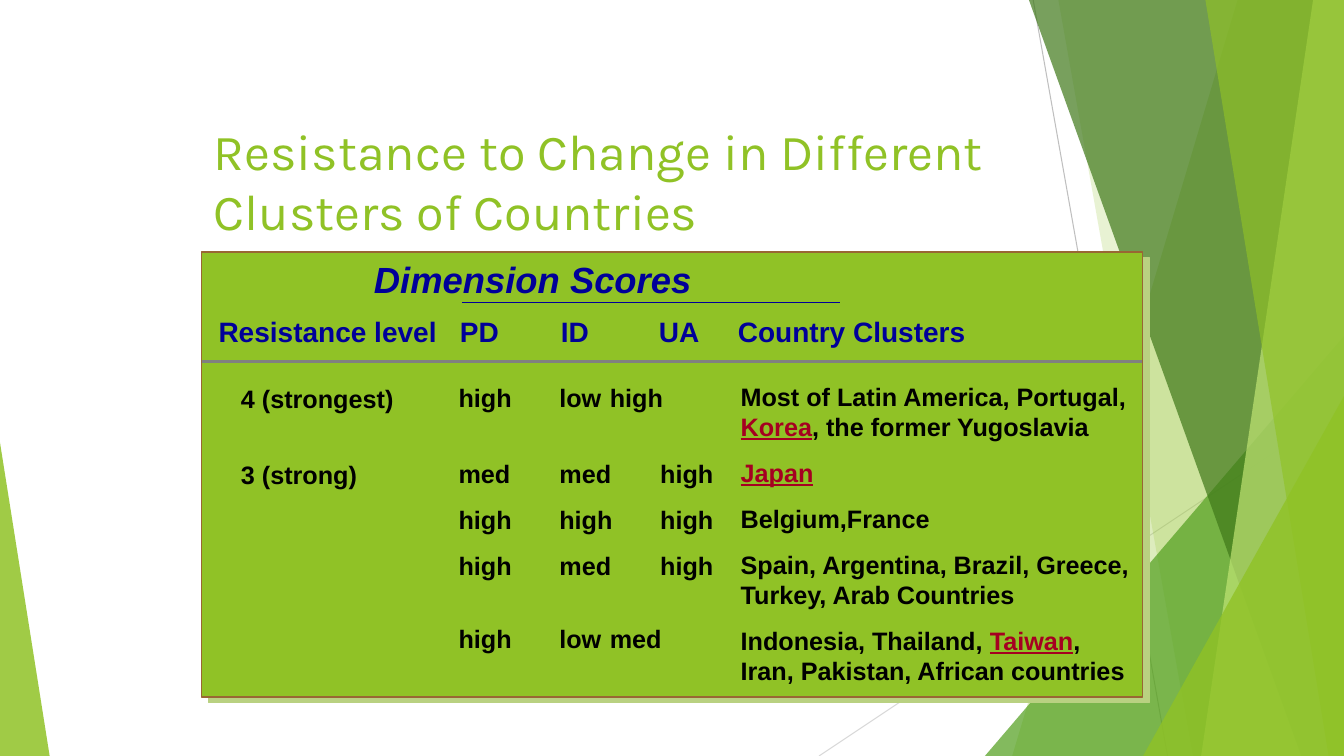
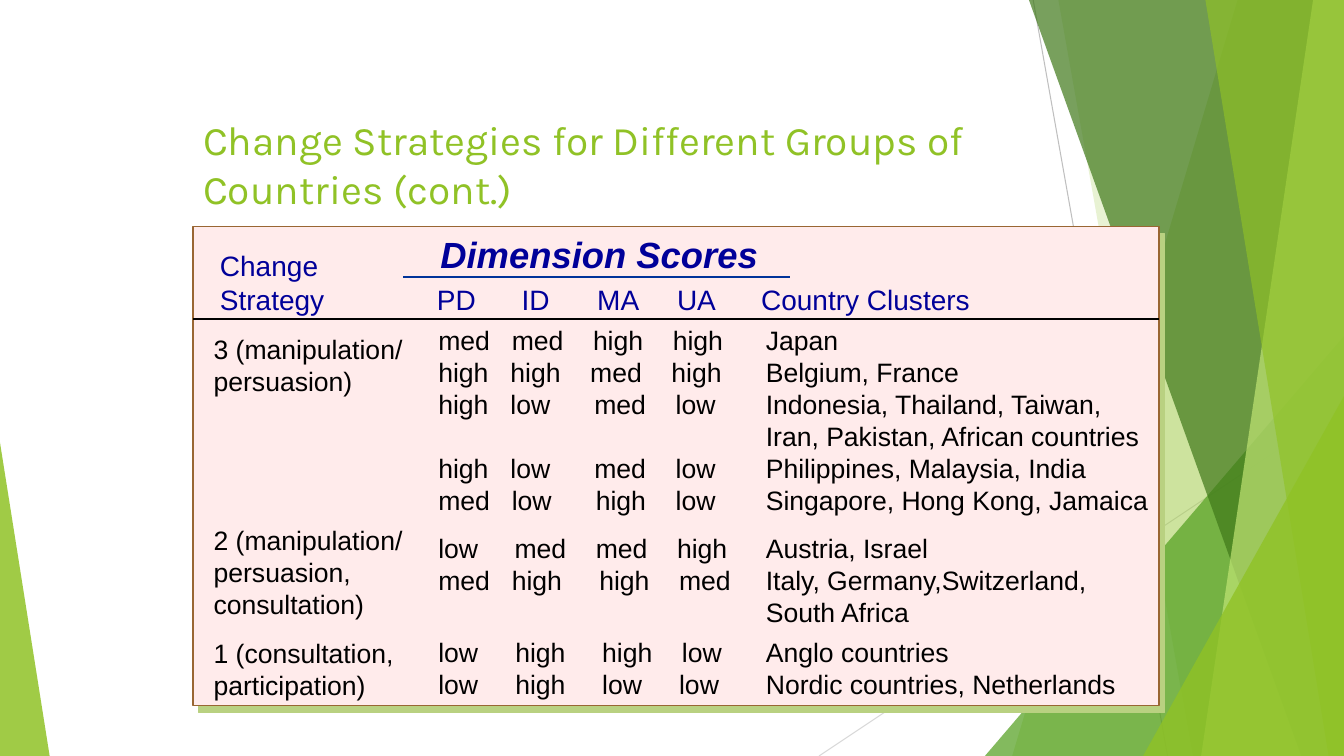
from pptx import Presentation
from pptx.dml.color import RGBColor
from pptx.enum.shapes import MSO_CONNECTOR as Connector, MSO_SHAPE as Shape
from pptx.enum.text import MSO_ANCHOR as Anchor
from pptx.oxml.ns import qn
from pptx.util import Pt
from lxml.etree import SubElement

COLOURS = {
    "lime": "90C226", "green": "54A021", "forest": "3F7819", "pale": "C0E474",
    "shadow": "B9D181", "pink": "FFEBEB", "brown": "996633", "navy": "000099",
    "blue": "003399", "red": "A50021", "black": "000000", "grey": "808080",
    "silver": "BFBFBF", "mist": "D9D9D9",
}
RGB = {name: RGBColor.from_string(value) for name, value in COLOURS.items()}
WIDTH, HEIGHT = 960, 540


def write(page, place, paragraphs, size=18, colour="black", font="Arial",
          bold=False, italic=False, anchor=Anchor.TOP):
    box = page.shapes.add_textbox(*map(Pt, place))
    frame = box.text_frame
    frame.word_wrap = True
    frame.vertical_anchor = anchor
    for index, (text, style) in enumerate(paragraphs):
        para = frame.add_paragraph() if index else frame.paragraphs[0]
        para.space_before = Pt(style.get("before", 0))
        if "tabs" in style:
            stops = SubElement(para._p.get_or_add_pPr(), qn("a:tabLst"))
            for stop in style["tabs"]:
                SubElement(stops, qn("a:tab"), pos=str(Pt(stop)), algn="l")
        for part, words in enumerate(text.split("*")):
            if not words:
                continue
            marked = part % 2 == 1
            span = para.add_run()
            span.text = words
            span.font.name = font
            span.font.size = Pt(style.get("size", size))
            span.font.bold = bold
            span.font.italic = style.get("italic", italic)
            span.font.underline = marked
            span.font.color.rgb = RGB["red" if marked else colour]


def rule(shapes, start, end, colour, weight):
    line = shapes.add_connector(Connector.STRAIGHT, *map(Pt, start + end))
    line.line.color.rgb = RGB[colour]
    line.line.width = Pt(weight)
    SubElement(line._element.spPr, qn("a:effectLst"))


deck = Presentation()
deck.slide_width, deck.slide_height = Pt(WIDTH), Pt(HEIGHT)
blank = deck.slide_layouts[6]
pages = [deck.slides.add_slide(blank) for _ in range(2)]

backdrop = pages[0].shapes.add_group_shape()
rule(backdrop.shapes, (738, 0), (834, HEIGHT), "silver", 0.75)
rule(backdrop.shapes, (WIDTH, 290), (585, HEIGHT), "mist", 0.75)
facets = [
    ("band", (884, 723), "lime", 30),
    ("band", (756, 852), "lime", 20),
    ("triangle", (703.5, 240, 256.5, 300, 1), "green", 72),
    ("band", (735, 929.5), "forest", 70),
    ("band", (938, 858), "pale", 70),
    ("band", (861, 949), "lime", 65),
    ("triangle", (816.5, 283, 143.5, 257, 1), "lime", 80),
    ("triangle", (0, 316, 35.5, 224, 0), "lime", 85),
]
for kind, geometry, colour, opacity in facets:
    if kind == "band":
        top, bottom = geometry
        outline = backdrop.shapes.build_freeform(Pt(top), 0)
        corners = [(WIDTH, 0), (WIDTH, HEIGHT), (bottom, HEIGHT)]
        outline.add_line_segments([(Pt(x), Pt(y)) for x, y in corners])
        facet = outline.convert_to_shape()
    else:
        *place, apex = geometry
        facet = backdrop.shapes.add_shape(Shape.ISOSCELES_TRIANGLE, *map(Pt, place))
        facet.adjustments[0] = apex
    facet.shadow.inherit = False
    facet.line.fill.background()
    facet.fill.solid()
    facet.fill.fore_color.rgb = RGB[colour]
    tint = facet._element.spPr.find(qn("a:solidFill"))[0]
    SubElement(tint, qn("a:alpha"), val=str(opacity * 1000))
deck.slide_master.shapes._spTree.append(backdrop._element)

frames = [
    ("Resistance to Change in Different Clusters of Countries", 36,
     (145.5, 78, 610.5, 102), (144, 180, 672, 318), "lime", 39),
    ("Change Strategies for Different Groups of Countries (cont.)", 29,
     (138, 78, 642, 78), (138, 162, 690, 342), "pink", 51),
]
for page, (title, size, title_place, place, fill, angle) in zip(pages, frames):
    write(page, title_place, [(title, {})], size=size, colour="lime",
          font="Karla", anchor=Anchor.MIDDLE)
    panel = page.shapes.add_shape(Shape.RECTANGLE, *map(Pt, place))
    panel.fill.solid()
    panel.fill.fore_color.rgb = RGB[fill]
    panel.line.color.rgb = RGB["brown"]
    panel.line.width = Pt(1)
    panel.shadow.inherit = False
    effects = panel._element.spPr.find(qn("a:effectLst"))
    shadow = SubElement(effects, qn("a:outerShdw"), dist=str(Pt(6.4)),
                        dir=str(angle * 60000), algn="ctr", rotWithShape="0")
    SubElement(shadow, qn("a:srgbClr"), val=COLOURS["shadow"])

resistance, strategies = pages

write(resistance, (149, 180, 650, 72), [
    ("\tDimension Scores", {"size": 26, "italic": True, "tabs": [111]}),
    ("Resistance level\tPD\tID\tUA\tCountry Clusters",
     {"before": 10, "tabs": [172.5, 244.5, 314.5, 371]}),
], size=20, colour="navy", bold=True)
rule(resistance.shapes, (330, 216), (600, 216), "navy", 1)
write(resistance, (165, 270, 145, 148), [
    ("4 (strongest)", {}),
    ("3 (strong)", {"before": 32.8}),
], bold=True)
even, tight = [72, 144], [72, 108]
write(resistance, (320.5, 269.5, 205, 222), [
    ("high\tlow\thigh", {"tabs": tight}),
    ("med\tmed\thigh", {"before": 32.8, "tabs": even}),
    ("high\thigh\thigh", {"before": 11.2, "tabs": even}),
    ("high\tmed\thigh", {"before": 11.2, "tabs": even}),
    ("high\tlow\tmed", {"before": 30.5, "tabs": tight}),
], bold=True)
write(resistance, (522, 268.5, 305, 225), [
    ("Most of Latin America, Portugal,", {}),
    ("*Korea*, the former Yugoslavia", {}),
    ("*Japan*", {"before": 11.2}),
    ("Belgium,France", {"before": 11.2}),
    ("Spain, Argentina, Brazil, Greece,", {"before": 11.2}),
    ("Turkey, Arab Countries", {}),
    ("Indonesia, Thailand, *Taiwan*,", {"before": 11.2}),
    ("Iran, Pakistan, African countries", {}),
], bold=True)
rule(resistance.shapes, (144, 258), (816, 258), "grey", 2.25)

write(strategies, (150, 174, 666, 55), [
    ("Change", {}),
    ("Strategy\tPD\tID\tMA\tUA\tCountry Clusters",
     {"tabs": [155, 215.5, 269.5, 326.5, 386.5]}),
], size=20, colour="navy")
write(strategies, (307.5, 162, 260, 38), [("Dimension Scores", {})],
      size=26, colour="navy", bold=True, italic=True)
rule(strategies.shapes, (288, 198), (564, 198), "blue", 1.5)
rule(strategies.shapes, (138, 228), (828, 228), "black", 1)
write(strategies, (145.5, 234, 165, 269), [
    ("3 (manipulation/", {}),
    ("persuasion)", {}),
    ("2 (manipulation/", {"before": 91.4}),
    ("persuasion,", {}),
    ("consultation)", {}),
    ("1 (consultation,", {"before": 11.9}),
    ("participation)", {}),
], size=19)
write(strategies, (306, 228, 234, 276), [
    ("med\tmed\thigh\thigh", {"tabs": [52.5, 110.5, 167.5]}),
    ("high\thigh\tmed\thigh", {"tabs": [51.5, 108.5, 166.5]}),
    ("high\tlow\tmed\tlow", {"tabs": [51.5, 111.5, 169.5]}),
    ("high\tlow\tmed\tlow", {"before": 22.9, "tabs": [51.5, 111.5, 169.5]}),
    ("med\tlow\thigh\tlow", {"tabs": [52.5, 112.5, 169.5]}),
    ("low\tmed\tmed\thigh", {"before": 11.5, "tabs": [54.5, 112.5, 170.5]}),
    ("med\thigh\thigh\tmed", {"tabs": [52.5, 115, 172]}),
    ("low\thigh\thigh\tlow", {"before": 28.5, "tabs": [55, 117, 174]}),
    ("low\thigh\tlow\tlow", {"tabs": [55, 117, 172]}),
], size=19)
write(strategies, (540, 228, 294, 276), [
    ("Japan", {}),
    ("Belgium, France", {}),
    ("Indonesia, Thailand, Taiwan,", {}),
    ("Iran, Pakistan, African countries", {}),
    ("Philippines, Malaysia, India", {}),
    ("Singapore, Hong Kong, Jamaica", {}),
    ("Austria, Israel", {"before": 11.9}),
    ("Italy, Germany,Switzerland,", {}),
    ("South Africa", {}),
    ("Anglo countries", {"before": 5.9}),
    ("Nordic countries, Netherlands", {}),
], size=19)

deck.save("out.pptx")
